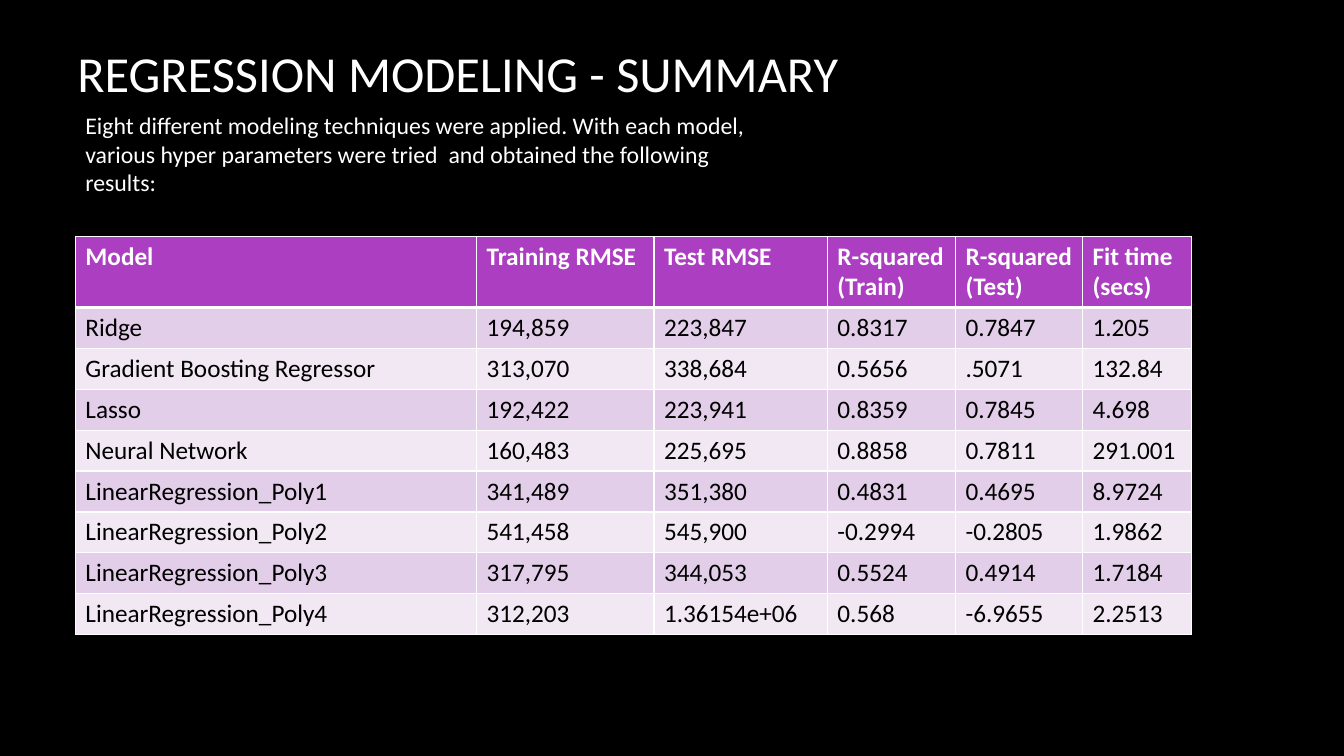
from lxml.etree import SubElement
from pptx import Presentation
from pptx.dml.color import RGBColor
from pptx.enum.text import MSO_ANCHOR
from pptx.oxml.ns import qn
from pptx.util import Cm, Pt

COLORS = {
    "background": "000000",
    "light": "FFFFFF",
    "dark": "000000",
    "header": "AC3EC1",
    "odd_row": "E3CEE9",
    "even_row": "F1E8F4",
}
COLUMN_WIDTHS = [10.11, 4.47, 4.37, 3.23, 3.2, 2.74]
HEADER_HEIGHT, ROW_HEIGHT = 1.8, 1.03
RESULTS = [
    ["Model", "Training RMSE", "Test RMSE", "R-squared (Train)", "R-squared (Test)", "Fit time (secs)"],
    ["Ridge", "194,859", "223,847", "0.8317", "0.7847", "1.205"],
    ["Gradient Boosting Regressor", "313,070", "338,684", "0.5656", ".5071", "132.84"],
    ["Lasso", "192,422", "223,941", "0.8359", "0.7845", "4.698"],
    ["Neural Network", "160,483", "225,695", "0.8858", "0.7811", "291.001"],
    ["LinearRegression_Poly1", "341,489", "351,380", "0.4831", "0.4695", "8.9724"],
    ["LinearRegression_Poly2", "541,458", "545,900", "-0.2994", "-0.2805", "1.9862"],
    ["LinearRegression_Poly3", "317,795", "344,053", "0.5524", "0.4914", "1.7184"],
    ["LinearRegression_Poly4", "312,203", "1.36154e+06", "0.568", "-6.9655", "2.2513"],
]


class SlideBuilder:
    def __init__(self, prs, font):
        self.font = font
        self.s = prs.slides.add_slide(prs.slide_layouts[6])
        self.fill(self.s.background, "background")

    def fill(self, target, color):
        target.fill.solid()
        target.fill.fore_color.rgb = RGBColor.from_string(COLORS[color])

    def set_text(self, tf, text, size, color, bold=False):
        tf.text = text
        font = tf.paragraphs[0].runs[0].font
        font.name, font.size, font.bold = self.font, Pt(size), bold
        font.color.rgb = RGBColor.from_string(COLORS[color])

    def text(self, text, left, top, width, height, size):
        sp = self.s.shapes.add_textbox(Cm(left), Cm(top), Cm(width), Cm(height))
        tf = sp.text_frame
        tf.word_wrap = True
        tf.vertical_anchor = MSO_ANCHOR.MIDDLE
        self.set_text(tf, text, size, "light")
        return tf

    def border(self, cell, side, width):
        """Draw one cell edge; side is L, R, T or B, width is in points."""
        tc_pr = cell._tc.get_or_add_tcPr()
        line = SubElement(tc_pr, qn(f"a:ln{side}"), w=str(Pt(width)))
        SubElement(SubElement(line, qn("a:solidFill")), qn("a:srgbClr"), val=COLORS["light"])

    def table(self, rows, left, top, widths, header_height, row_height):
        height = header_height + row_height * (len(rows) - 1)
        table = self.s.shapes.add_table(
            len(rows), len(widths), Cm(left), Cm(top), Cm(sum(widths)), Cm(height)
        ).table
        for column, width in zip(table.columns, widths):
            column.width = Cm(width)
        for i, values in enumerate(rows):
            is_header = i == 0
            table.rows[i].height = Cm(header_height if is_header else row_height)
            color = "header" if is_header else "odd_row" if i % 2 else "even_row"
            for j, value in enumerate(values):
                cell = table.cell(i, j)
                for side in "LRTB":
                    under_header = (i, side) in ((0, "B"), (1, "T"))
                    self.border(cell, side, 3 if under_header else 1)
                self.fill(cell, color)
                self.set_text(cell.text_frame, value, 18, "light" if is_header else "dark", is_header)


def main():
    prs = Presentation()
    prs.slide_width, prs.slide_height = Cm(33.87), Cm(19.05)
    slide = SlideBuilder(prs, "Calibri")
    slide.text("REGRESSION MODELING - SUMMARY", 1.7, 0.56, 28.14, 2.54, 36)
    slide.table(RESULTS, 1.9, 5.95, COLUMN_WIDTHS, HEADER_HEIGHT, ROW_HEIGHT)
    intro = slide.text(
        "Eight different modeling techniques were applied. With each model, various hyper "
        "parameters were tried  and obtained the following results:",
        1.9, 2.44, 17.78, 2.87, 17,
    )
    intro.paragraphs[0].space_after = Pt(10)
    prs.save("out.pptx")


if __name__ == "__main__":
    main()
